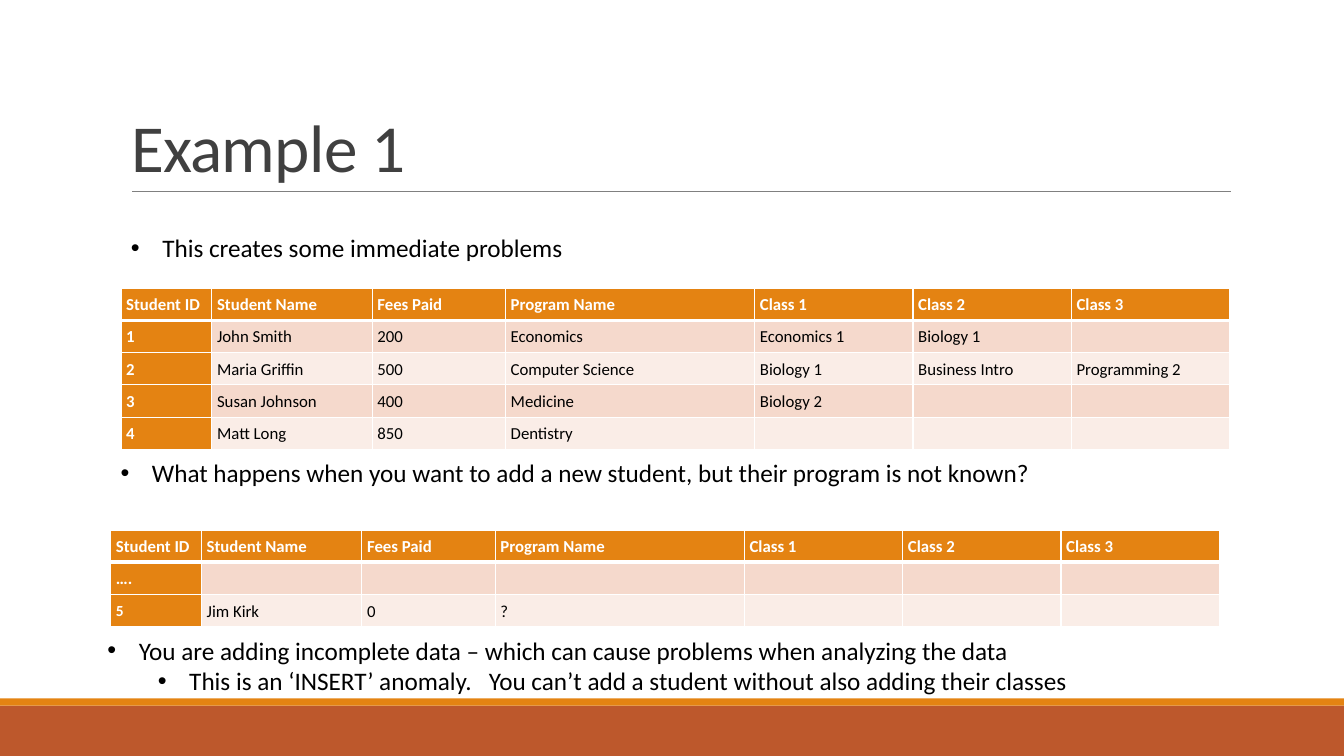
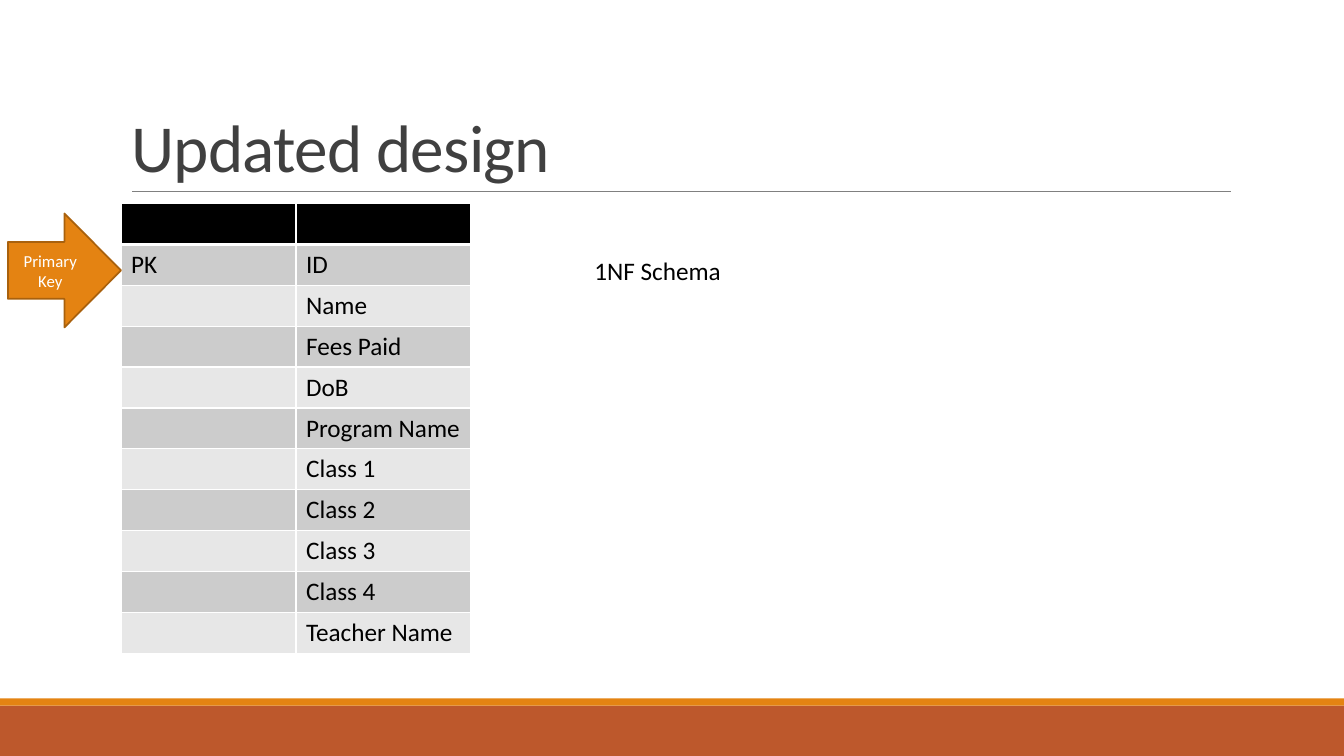
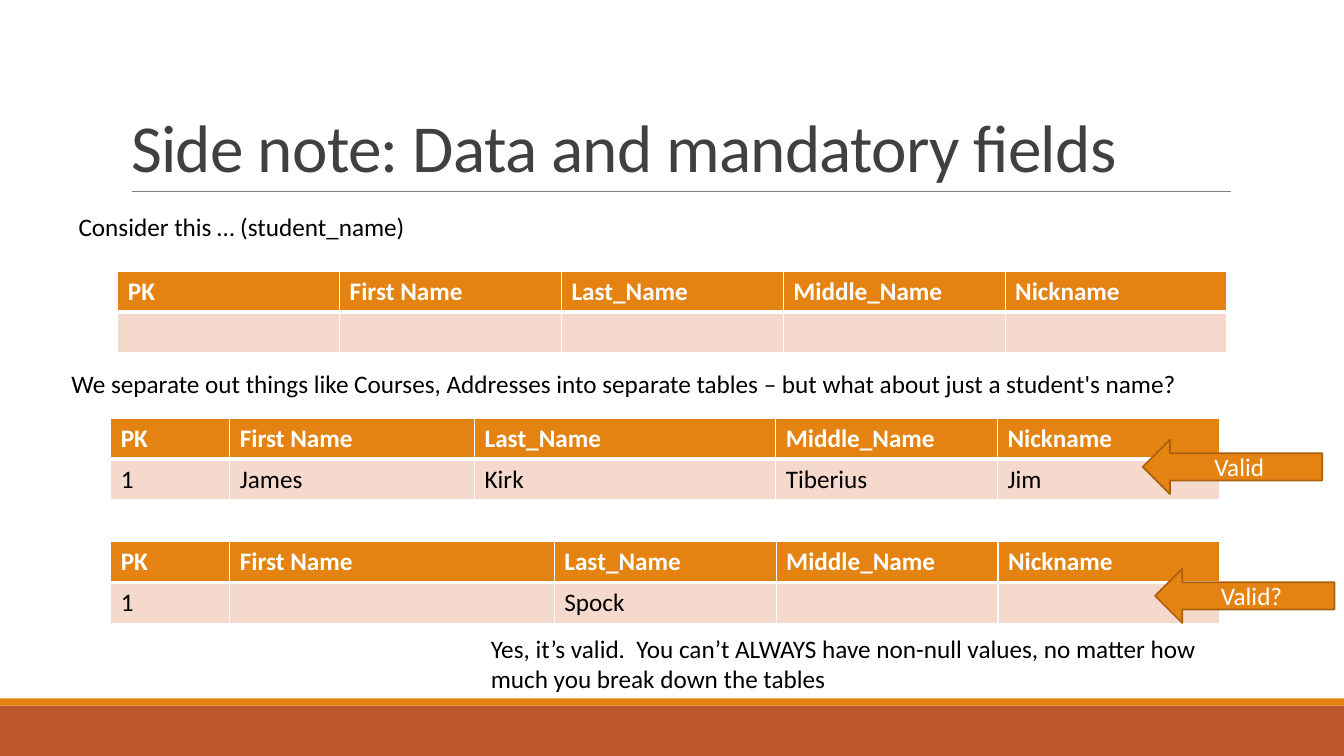
import dataclasses

import lxml.etree
import pptx
import pptx.dml.color
import pptx.enum.shapes
import pptx.enum.text
import pptx.oxml.ns
import pptx.util

Cm = pptx.util.Cm
Pt = pptx.util.Pt
qn = pptx.oxml.ns.qn
SHAPE = pptx.enum.shapes.MSO_SHAPE
ANCHOR = pptx.enum.text.MSO_ANCHOR
ALIGN = pptx.enum.text.PP_ALIGN


@dataclasses.dataclass(frozen=True)
class Theme:
    font: str = "Calibri"
    title_size: float = 48
    body_size: float = 18
    small_size: float = 12
    tiny_size: float = 11
    title: str = "404040"
    text: str = "000000"
    white: str = "FFFFFF"
    accent: str = "E48312"
    accent_edge: str = "A9610D"
    footer: str = "BD582C"
    rule: str = "808080"
    warm_bands: tuple = ("F5D9CC", "FAEDE7")
    grey_bands: tuple = ("CCCCCC", "E7E7E7")


@dataclasses.dataclass(frozen=True)
class Box:
    """A region of the slide, in centimetres."""
    x: float
    y: float
    w: float
    h: float

    def emu(self):
        return Cm(self.x), Cm(self.y), Cm(self.w), Cm(self.h)

    def inner(self, dx, dy, w, h):
        return Box(self.x + dx, self.y + dy, w, h)


THEME = Theme()
SLIDE = Box(0, 0, 33.87, 19.05)
TITLE = Box(3.05, 0.79, 27.94, 4.04)
BODY = Box(0, 4.83, 33.87, 12.77)
LINE_H = 1.03
TABLE_W = 27.94
SMALL_ROW_H = 0.81
BULLET_INDENT = 0.79
LEVEL_INDENT = 1.27


def rgb(color):
    return pptx.dml.color.RGBColor.from_string(color)


def format_runs(p, size, color, bold=False):
    for r in p.runs:
        r.font.name = THEME.font
        r.font.size = Pt(size)
        r.font.bold = bold
        r.font.color.rgb = rgb(color)


def add_filled(s, kind, box, fill, edge=None):
    sp = s.shapes.add_shape(kind, *box.emu())
    sp.shadow.inherit = False
    sp.fill.solid()
    sp.fill.fore_color.rgb = rgb(fill)
    if edge:
        sp.line.color.rgb = rgb(edge)
        sp.line.width = Pt(1.25)
    else:
        sp.line.fill.background()
    return sp


def add_frame(s, box):
    """Draw the footer bands and the rule under the title."""
    add_filled(s, SHAPE.RECTANGLE, box.inner(0, 17.78, box.w, 1.27), THEME.footer)
    add_filled(s, SHAPE.RECTANGLE, box.inner(0, 17.6, box.w, 0.18), THEME.accent)
    rule = s.shapes.add_connector(
        pptx.enum.shapes.MSO_CONNECTOR.STRAIGHT,
        Cm(box.x + 3.33), Cm(box.y + 4.83), Cm(box.x + 31.01), Cm(box.y + 4.83))
    rule.line.color.rgb = rgb(THEME.rule)
    rule.line.width = Pt(0.5)
    lxml.etree.SubElement(rule._element.spPr, qn("a:effectLst"))


def add_title(s, box, text):
    sp = s.shapes.title
    sp.left, sp.top, sp.width, sp.height = box.emu()
    tf = sp.text_frame
    tf.text = text
    tf.word_wrap = True
    tf.auto_size = pptx.enum.text.MSO_AUTO_SIZE.NONE
    tf.vertical_anchor = ANCHOR.BOTTOM
    p = tf.paragraphs[0]
    p.alignment = ALIGN.LEFT
    p.line_spacing = 0.85
    format_runs(p, THEME.title_size, THEME.title)
    for r in p.runs:
        r._r.get_or_add_rPr().set("spc", "-50")


def add_slide(prs, title):
    s = prs.slides.add_slide(prs.slide_layouts.get_by_name("Title Only"))
    add_frame(s, SLIDE)
    add_title(s, TITLE, title)
    return s


def add_bullet(p):
    pPr = p._p.get_or_add_pPr()
    pPr.set("marL", str(Cm(BULLET_INDENT + LEVEL_INDENT * p.level)))
    pPr.set("indent", str(-Cm(BULLET_INDENT)))
    lxml.etree.SubElement(pPr, qn("a:buFont")).set("typeface", "Arial")
    lxml.etree.SubElement(pPr, qn("a:buChar")).set("char", "•")


def add_text(s, box, *lines, bullets=False):
    """Write one paragraph per line; each bulleted line is one level deeper."""
    tf = s.shapes.add_textbox(*box.emu()).text_frame
    tf.word_wrap = True
    for level, line in enumerate(lines):
        p = tf.add_paragraph() if level else tf.paragraphs[0]
        p.text = line
        format_runs(p, THEME.body_size, THEME.text)
        if bullets:
            p.level = level
            add_bullet(p)


def add_arrow(s, kind, box, text, size):
    sp = add_filled(s, kind, box, THEME.accent, THEME.accent_edge)
    tf = sp.text_frame
    tf.word_wrap = True
    tf.vertical_anchor = ANCHOR.MIDDLE
    tf.text = text
    p = tf.paragraphs[0]
    p.alignment = ALIGN.CENTER
    format_runs(p, size, THEME.white)


def set_borders(cell, top, bottom):
    tcPr = cell._tc.get_or_add_tcPr()
    for side, width in (("L", 1), ("R", 1), ("T", top), ("B", bottom)):
        ln = lxml.etree.SubElement(tcPr, qn(f"a:ln{side}"), w=str(Pt(width)))
        fill = lxml.etree.SubElement(ln, qn("a:solidFill"))
        lxml.etree.SubElement(fill, qn("a:srgbClr"), val=THEME.white)


def fill_cell(cell, text, fill, color, size, bold):
    cell.fill.solid()
    cell.fill.fore_color.rgb = rgb(fill)
    cell.text = text
    p = cell.text_frame.paragraphs[0]
    format_runs(p, size, color, bold)
    if not text:
        lxml.etree.SubElement(p._p, qn("a:endParaRPr"), sz=str(int(size * 100)))


def add_banded_table(s, box, weights, rows, header=THEME.accent,
                     bands=THEME.warm_bands, compact=False):
    """Place a table with a header row; a compact one has a header column too."""
    tbl = s.shapes.add_table(len(rows), len(weights), *box.emu()).table
    tbl.first_row = tbl.horz_banding = False
    for col, weight in zip(tbl.columns, weights):
        col.width = Cm(round(box.w * weight / sum(weights), 2))
    for i, row in enumerate(rows):
        tbl.rows[i].height = Cm(round(box.h / len(rows), 2))
        for j, text in enumerate(row):
            cell = tbl.cell(i, j)
            is_head = i == 0 or (compact and j == 0)
            set_borders(cell, 3 if i == 1 else 1, 3 if i == 0 else 1)
            fill_cell(cell, text,
                      header if is_head else bands[(i - 1) % 2],
                      THEME.white if is_head else THEME.text,
                      THEME.small_size if compact else THEME.body_size, is_head)
            if compact:
                cell.vertical_anchor = ANCHOR.MIDDLE
                cell.margin_left = cell.margin_right = Cm(0.13)
                cell.margin_top = cell.margin_bottom = Cm(0.13)
                cell.text_frame.paragraphs[0].line_spacing = 1.07
    return tbl


def add_student_table(s, box, x, y, *students):
    weights = (0.9, 1.59, 1.32, 2.47, 1.57, 1.57, 1.57)
    header = ("Student ID", "Student Name", "Fees Paid", "Program Name",
              "Class 1", "Class 2", "Class 3")
    rows = [header, *students]
    return add_banded_table(s, box.inner(x, y, TABLE_W, SMALL_ROW_H * len(rows)),
                            weights, rows, compact=True)


def add_name_table(s, box, x, y, weights, *values):
    header = ("PK", "First Name", "Last_Name", "Middle_Name", "Nickname")
    add_banded_table(s, box.inner(x, y, TABLE_W, 2 * LINE_H), weights,
                     [header, values])


def build_example(prs, box):
    s = add_slide(prs, "Example 1")
    add_student_table(
        s, box, 3.05, 2.43,
        ("1", "John Smith", "200", "Economics", "Economics 1", "Biology 1", ""),
        ("2", "Maria Griffin", "500", "Computer Science", "Biology 1",
         "Business Intro", "Programming 2"),
        ("3", "Susan Johnson", "400", "Medicine", "Biology 2", "", ""),
        ("4", "Matt Long", "850", "Dentistry", "", "", ""))
    add_text(s, box.inner(3.05, 0.91, 27.69, LINE_H),
             "This creates some immediate problems", bullets=True)
    add_text(s, box.inner(2.79, 6.58, 27.69, 1.8),
             "What happens when you want to add a new student, "
             "but their program is not known?", bullets=True)
    tbl = add_student_table(
        s, box, 2.79, 8.53,
        ("….", "", "", "", "", "", ""),
        ("5", "Jim Kirk", "0", "?", "", "", ""))
    format_runs(tbl.cell(2, 0).text_frame.paragraphs[0],
                THEME.tiny_size, THEME.white, True)
    add_text(s, box.inner(2.46, 11.05, 27.69, 1.8),
             "You are adding incomplete data – which can cause problems "
             "when analyzing the data",
             "This is an ‘INSERT’ anomaly.   You can’t add a student "
             "without also adding their classes", bullets=True)


def build_design(prs, box):
    s = add_slide(prs, "Updated design")
    fields = ("Name", "Fees Paid", "DoB", "Program Name", "Class 1", "Class 2",
              "Class 3", "Class 4", "Teacher Name")
    rows = [("", ""), ("PK", "ID"), *(("", field) for field in fields)]
    add_banded_table(s, box.inner(3.05, 0.3, 8.82, LINE_H * len(rows)), (1, 1),
                     rows, header=THEME.text, bands=THEME.grey_bands)
    add_text(s, box.inner(14.73, 1.47, 11.43, LINE_H), "1NF Schema")
    add_arrow(s, SHAPE.RIGHT_ARROW, box.inner(0.2, 0.55, 2.85, 2.87),
              "Primary Key", THEME.small_size)


def build_side_note(prs, box):
    s = add_slide(prs, "Side note: Data and mandatory fields")
    add_name_table(s, box, 2.97, 2, (1,) * 5, "", "", "", "", "")
    add_text(s, box.inner(1.73, 0.38, 24.69, LINE_H),
             "Consider this … (student_name)")
    add_name_table(s, box, 2.79, 5.71, (1.18, 2.43, 2.99, 2.2, 2.2),
                   "1", "James", "Kirk", "Tiberius", "Jim")
    add_text(s, box.inner(1.55, 4.32, 30.18, LINE_H),
             "We separate out things like Courses, Addresses into separate "
             "tables – but what about just a student's name?")
    add_name_table(s, box, 2.79, 8.82, (1.18, 3.22, 2.2, 2.2, 2.2),
                   "1", "", "Spock", "", "")
    for x, y, label in ((28.8, 6.25, "Valid"), (29.11, 9.5, "Valid?")):
        add_arrow(s, SHAPE.LEFT_ARROW, box.inner(x, y, 4.52, 1.37), label,
                  THEME.body_size)
    add_text(s, box.inner(12.12, 11, 19.63, 1.8),
             "Yes, it’s valid.  You can’t ALWAYS have non-null values, "
             "no matter how much you break down the tables")


def main():
    prs = pptx.Presentation()
    prs.slide_width, prs.slide_height = Cm(SLIDE.w), Cm(SLIDE.h)
    for build in (build_example, build_design, build_side_note):
        build(prs, BODY)
    prs.save("out.pptx")


if __name__ == "__main__":
    main()
